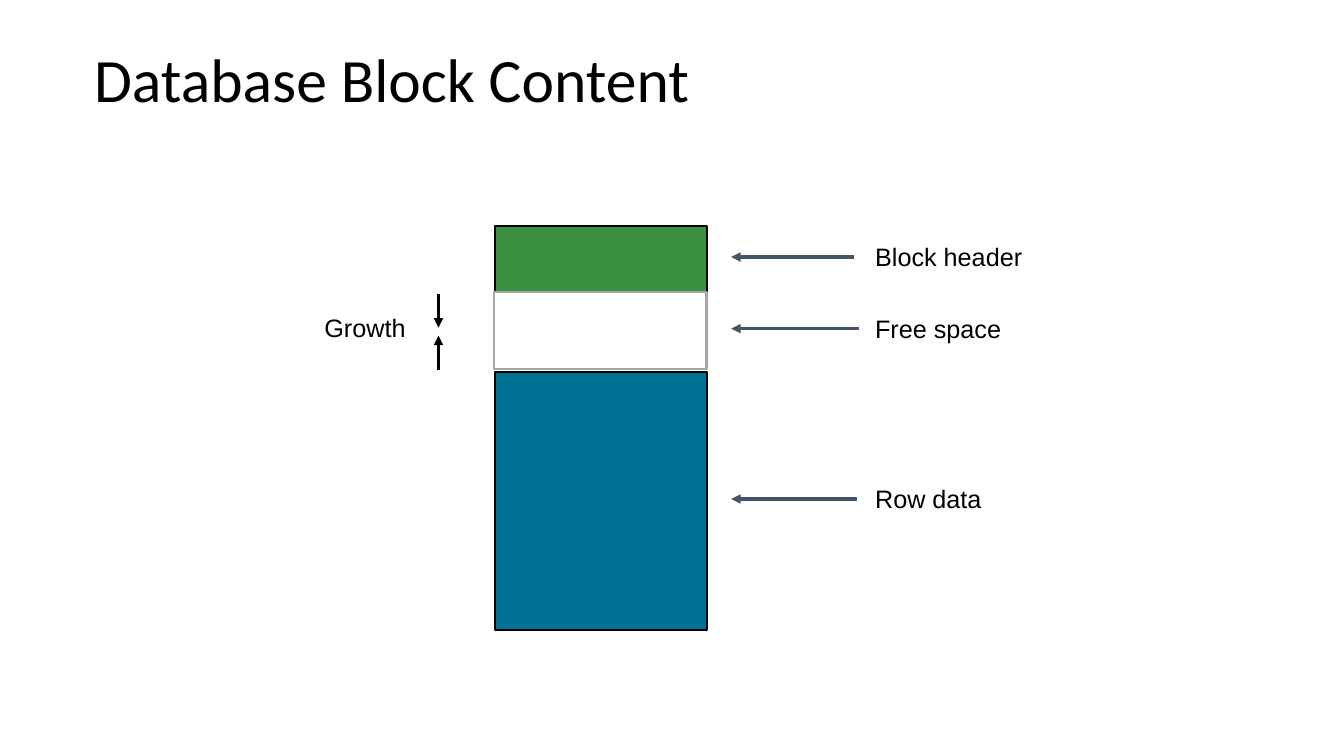
from dataclasses import dataclass

from lxml.etree import SubElement
from pptx import Presentation
from pptx.dml.color import RGBColor
from pptx.enum.shapes import MSO_CONNECTOR, MSO_SHAPE
from pptx.enum.text import MSO_ANCHOR, MSO_AUTO_SIZE, PP_ALIGN
from pptx.oxml.ns import qn
from pptx.slide import Slide
from pptx.util import Inches, Pt

SLIDE_WIDTH, SLIDE_HEIGHT = Inches(13.33), Inches(7.5)
COLUMNS, ROWS = 40, 30

BLACK = RGBColor(0x00, 0x00, 0x00)
WHITE = RGBColor(0xFF, 0xFF, 0xFF)
GREEN = RGBColor(0x3A, 0x91, 0x3F)
BLUE = RGBColor(0x00, 0x73, 0x95)
GRAY = RGBColor(0xA6, 0xA6, 0xA6)
SLATE = RGBColor(0x44, 0x54, 0x6A)

TITLE_ONLY_LAYOUT = 5
POINTER_TIP = 21.76
LABEL_LEFT = 25.75
GROWTH_COLUMN = 13.05


@dataclass
class Box:
    """An area in grid columns and rows."""
    left: float
    top: float
    width: float
    height: float

    def place(self) -> tuple[int, int, int, int]:
        return column(self.left), row(self.top), column(self.width), row(self.height)


@dataclass
class Section:
    box: Box
    fill: RGBColor
    outline: RGBColor


@dataclass
class Label:
    text: str
    box: Box
    wraps: bool = True


@dataclass
class Arrow:
    """A line whose arrowhead is at its end, in grid columns and rows."""
    start: tuple[float, float]
    end: tuple[float, float]
    color: RGBColor


@dataclass
class Callout:
    """A label at the right with a pointer to its section."""
    text: str
    label_top: float
    label_width: float
    pointer_start: float
    pointer_row: float


SECTIONS = [
    Section(Box(14.73, 8.96, 6.3, 2.72), GREEN, BLACK),
    Section(Box(14.73, 14.76, 6.3, 10.24), BLUE, BLACK),
    Section(Box(14.7, 11.6, 6.33, 3.04), WHITE, GRAY),
]
CALLOUTS = [
    Callout("Block header", 9.36, 5.49, 25.42, 10.2),
    Callout("Free space", 12.24, 5.04, 25.57, 13.04),
    Callout("Row data", 19, 4.17, 25.51, 19.8),
]
GROWTH_LABEL = Label("Growth", Box(9.36, 12.2, 3.24, 1.6), wraps=False)
GROWTH_ARROWS = [
    Arrow((GROWTH_COLUMN, 14.68), (GROWTH_COLUMN, 13.32), BLACK),
    Arrow((GROWTH_COLUMN, 11.68), (GROWTH_COLUMN, 13), BLACK),
]


def column(number: float) -> int:
    return round(SLIDE_WIDTH * number / COLUMNS)


def row(number: float) -> int:
    return round(SLIDE_HEIGHT * number / ROWS)


def fill_title(slide: Slide, text: str) -> None:
    title = slide.shapes.title
    title.left, title.top, title.width, title.height = Box(2.5, 0.36, 34.5, 5.8).place()
    frame = title.text_frame
    frame.text = text
    frame.auto_size = MSO_AUTO_SIZE.NONE
    frame.vertical_anchor = MSO_ANCHOR.MIDDLE
    paragraph = frame.paragraphs[0]
    paragraph.alignment = PP_ALIGN.LEFT
    paragraph.line_spacing = 0.9
    font = paragraph.font
    font.name, font.size, font.color.rgb = "Calibri", Pt(44), BLACK


def add_label(slide: Slide, label: Label) -> None:
    frame = slide.shapes.add_textbox(*label.box.place()).text_frame
    frame.text = label.text
    frame.word_wrap = label.wraps
    frame.auto_size = MSO_AUTO_SIZE.SHAPE_TO_FIT_TEXT
    font = frame.paragraphs[0].font
    font.name, font.size, font.color.rgb = "Arial", Pt(18), BLACK


def add_arrow(slide: Slide, arrow: Arrow) -> None:
    (start_column, start_row), (end_column, end_row) = arrow.start, arrow.end
    connector = slide.shapes.add_connector(
        MSO_CONNECTOR.STRAIGHT,
        column(start_column), row(start_row), column(end_column), row(end_row))
    connector.line.color.rgb = arrow.color
    connector.line.width = Pt(2.25)
    SubElement(connector.line._get_or_add_ln(), qn("a:tailEnd"), type="triangle")
    SubElement(connector._element.spPr, qn("a:effectLst"))


def add_section(slide: Slide, section: Section) -> None:
    shape = slide.shapes.add_shape(MSO_SHAPE.RECTANGLE, *section.box.place())
    shape.shadow.inherit = False
    shape.fill.solid()
    shape.fill.fore_color.rgb = section.fill
    shape.line.color.rgb = section.outline
    shape.line.width = Pt(1.5)


def add_callout(slide: Slide, callout: Callout) -> None:
    add_label(slide, Label(
        callout.text, Box(LABEL_LEFT, callout.label_top, callout.label_width, 1.56)))
    add_arrow(slide, Arrow(
        (callout.pointer_start, callout.pointer_row),
        (POINTER_TIP, callout.pointer_row), SLATE))


def main() -> None:
    presentation = Presentation()
    presentation.slide_width, presentation.slide_height = SLIDE_WIDTH, SLIDE_HEIGHT
    slide = presentation.slides.add_slide(presentation.slide_layouts[TITLE_ONLY_LAYOUT])
    fill_title(slide, "Database Block Content")
    for callout in CALLOUTS:
        add_callout(slide, callout)
    add_label(slide, GROWTH_LABEL)
    for arrow in GROWTH_ARROWS:
        add_arrow(slide, arrow)
    for section in SECTIONS:
        add_section(slide, section)
    presentation.save("out.pptx")


if __name__ == "__main__":
    main()
